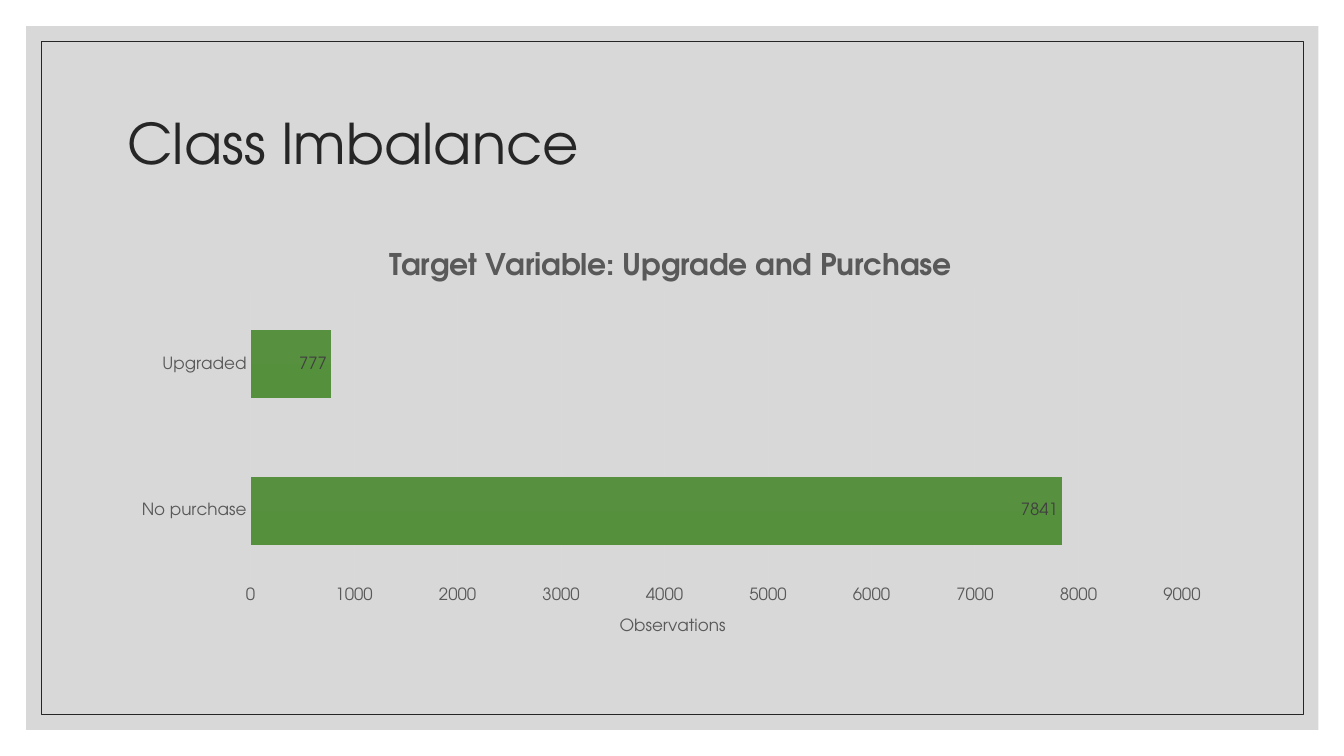
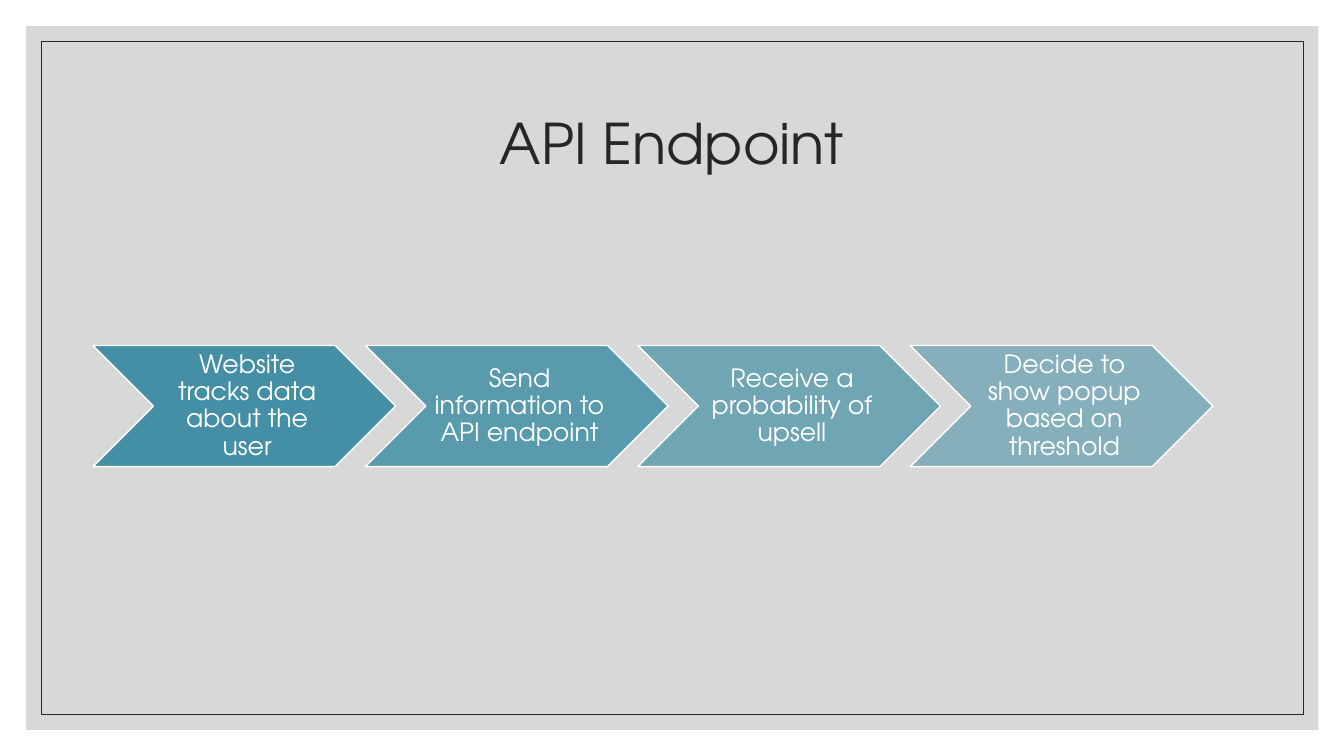
from dataclasses import dataclass

from lxml import etree
from pptx import Presentation
from pptx import util as u
from pptx.chart import data as chart_data
from pptx.dml import color
from pptx.enum import chart as chart_enum
from pptx.enum import shapes, text
from pptx.oxml import ns

FONT = "TeX Gyre Adventor"
COLORS = {
    "panel": "BFBFBF",
    "ink": "262626",
    "axis_text": "595959",
    "label_text": "404040",
    "grid": "D9D9D9",
    "bar_top": "57903F",
    "bar_bottom": "55913C",
    "step": "3488A0",
    "white": "FFFFFF",
}


@dataclass(frozen=True)
class Box:
    left: float
    top: float
    width: float
    height: float

    def lengths(self) -> tuple:
        return tuple(u.Pt(value) for value in (self.left, self.top, self.width, self.height))


@dataclass(frozen=True)
class Step:
    caption: str
    opacity: int


PANEL = Box(18.7, 18.7, 923, 502.6)
BORDER = Box(29.5, 29.5, 901.4, 481)
TITLE = Box(84, 50.4, 792, 108)
CHART = Box(84, 165.6, 792, 303.1)
FIRST_STEP = Box(66.4, 246.8, 216.2, 86.5)
STEP_PITCH = 0.9 * FIRST_STEP.width
STEPS = (
    Step("Website tracks data about the user", 90),
    Step("Send information to API endpoint", 77),
    Step("Receive a probability of upsell", 63),
    Step("Decide to show popup based on threshold", 50),
)


def rgb(name: str) -> color.RGBColor:
    return color.RGBColor.from_string(COLORS[name])


def style_font(font, size: float, color_name: str, bold: bool = False) -> None:
    font.name = FONT
    font.size = u.Pt(size)
    font.bold = bold
    font.color.rgb = rgb(color_name)


def add_shape(slide, kind, box: Box, fill: str | None = None, opacity: int = 100,
              line: str | None = None, line_width: float = 1):
    shape = slide.shapes.add_shape(kind, *box.lengths())
    shape.shadow.inherit = False
    if fill:
        shape.fill.solid()
        shape.fill.fore_color.rgb = rgb(fill)
        fill_color = shape.fill._xPr.find(".//" + ns.qn("a:srgbClr"))
        etree.SubElement(fill_color, ns.qn("a:alpha"), val=str(opacity * 1000))
    else:
        shape.fill.background()
    if line:
        shape.line.color.rgb = rgb(line)
        shape.line.width = u.Pt(line_width)
    else:
        shape.line.fill.background()
    return shape


def write_text(shape, words: str, size: float, color_name: str, alignment) -> None:
    frame = shape.text_frame
    frame.word_wrap = True
    frame.vertical_anchor = text.MSO_ANCHOR.MIDDLE
    frame.text = words
    paragraph = frame.paragraphs[0]
    paragraph.alignment = alignment
    paragraph.line_spacing = 0.9
    style_font(paragraph.runs[0].font, size, color_name)


def add_framed_slide(presentation, title: str, alignment=text.PP_ALIGN.LEFT):
    slide = presentation.slides.add_slide(presentation.slide_layouts[6])
    rectangle = shapes.MSO_SHAPE.RECTANGLE
    add_shape(slide, rectangle, PANEL, fill="panel", opacity=60)
    add_shape(slide, rectangle, BORDER, line="ink", line_width=0.5)
    write_text(slide.shapes.add_textbox(*TITLE.lengths()), title, 40, "ink", alignment)
    return slide


def set_layout(parent, **fractions: float) -> None:
    layout = parent.find(ns.qn("c:layout"))
    if layout is None:
        layout = etree.Element(ns.qn("c:layout"))
        position = 1 if parent.find(ns.qn("c:tx")) is not None else 0
        parent.insert(position, layout)
    manual = etree.SubElement(layout, ns.qn("c:manualLayout"))
    if "w" in fractions:
        etree.SubElement(manual, ns.qn("c:layoutTarget"), val="inner")
    for axis in ("x", "y"):
        etree.SubElement(manual, ns.qn(f"c:{axis}Mode"), val="edge")
    for name, value in fractions.items():
        etree.SubElement(manual, ns.qn(f"c:{name}"), val=str(value))


def write_chart_title(title, words: str, size: float, bold: bool, x: float, y: float) -> None:
    title.text_frame.text = words
    style_font(title.text_frame.paragraphs[0].runs[0].font, size, "axis_text", bold)
    set_layout(title._element, x=x, y=y)


def style_axis(axis) -> None:
    axis.major_tick_mark = chart_enum.XL_TICK_MARK.NONE
    axis.minor_tick_mark = chart_enum.XL_TICK_MARK.NONE
    style_font(axis.tick_labels.font, 12, "axis_text")


def add_class_chart(slide) -> None:
    counts = chart_data.CategoryChartData()
    counts.categories = ["No purchase", "Upgraded"]
    counts.add_series("Series 1", (7841, 777))
    chart = slide.shapes.add_chart(
        chart_enum.XL_CHART_TYPE.BAR_CLUSTERED, *CHART.lengths(), counts).chart
    chart.has_legend = False
    chart.font.name = FONT
    chart.font.size = u.Pt(10)
    chart.has_title = True
    write_chart_title(chart.chart_title, "Target Variable: Upgrade and Purchase",
                      21.3, True, 0.24, 0.03)

    categories, values = chart.category_axis, chart.value_axis
    style_axis(categories)
    categories.format.line.color.rgb = rgb("grid")
    categories.format.line.width = u.Pt(1)
    style_axis(values)
    values.minimum_scale, values.maximum_scale, values.major_unit = 0, 9000, 1000
    values.format.line.fill.background()
    values.major_gridlines.format.line.color.rgb = rgb("grid")
    values.major_gridlines.format.line.width = u.Pt(0.75)
    values.has_title = True
    write_chart_title(values.axis_title, "Observations", 12, False, 0.45, 0.9)

    plot = chart.plots[0]
    plot.vary_by_categories = False
    plot.gap_width = 115
    plot.overlap = -20
    fill = plot.series[0].format.fill
    fill.gradient()
    fill.gradient_angle = 270
    for stop, name in zip(fill.gradient_stops, ("bar_top", "bar_bottom")):
        stop.color.rgb = rgb(name)
    labels = plot.series[0].data_labels
    labels.show_value = True
    labels.position = chart_enum.XL_LABEL_POSITION.INSIDE_END
    style_font(labels.font, 12, "label_text")
    set_layout(chart._chartSpace.chart.plotArea, x=0.12, y=0.14, w=0.84, h=0.69)


def add_steps(slide) -> None:
    first = FIRST_STEP
    for index, step in enumerate(STEPS):
        box = Box(first.left + index * STEP_PITCH, first.top, first.width, first.height)
        chevron = add_shape(slide, shapes.MSO_SHAPE.CHEVRON, box, fill="step",
                            opacity=step.opacity, line="white")
        frame = chevron.text_frame
        frame.margin_left = u.Pt(6)
        frame.margin_top = frame.margin_right = frame.margin_bottom = u.Pt(2)
        write_text(chevron, step.caption, 18, "white", text.PP_ALIGN.CENTER)


def main() -> None:
    presentation = Presentation()
    presentation.slide_width = u.Pt(960)
    presentation.slide_height = u.Pt(540)
    add_class_chart(add_framed_slide(presentation, "Class Imbalance"))
    add_steps(add_framed_slide(presentation, "API Endpoint", text.PP_ALIGN.CENTER))
    presentation.save("out.pptx")


if __name__ == "__main__":
    main()
